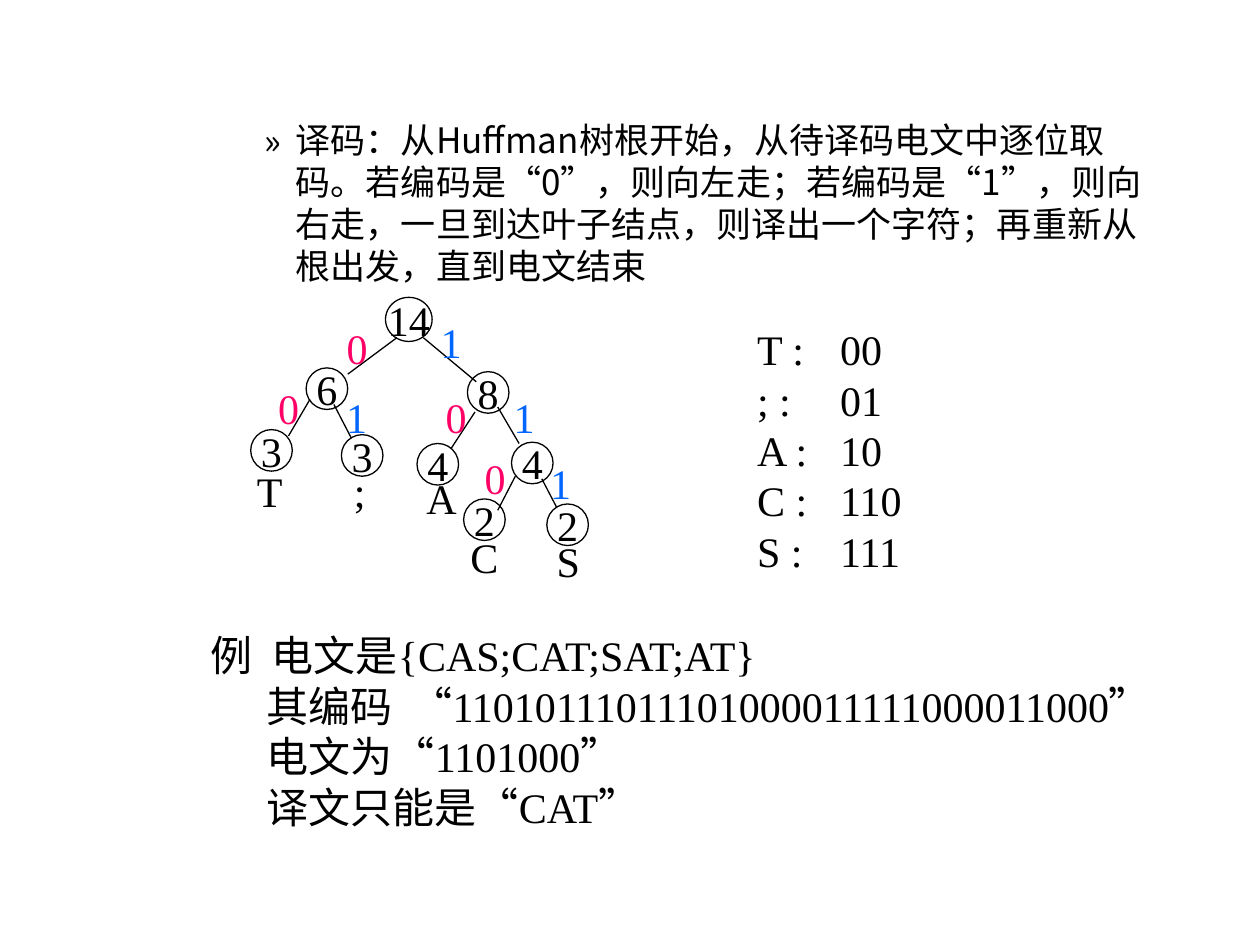
from dataclasses import dataclass
from typing import Sequence

from lxml.etree import SubElement as Sub
from pptx import Presentation
from pptx.dml.color import RGBColor as Rgb
from pptx.enum.shapes import MSO_CONNECTOR as Wire, MSO_SHAPE as Form
from pptx.enum.text import MSO_ANCHOR as Anchor, PP_ALIGN as Align
from pptx.oxml.ns import qn
from pptx.util import Inches, Pt


@dataclass(frozen=True)
class Theme:
    ink: str = "000000"
    zero: str = "FF0066"
    one: str = "0066FF"
    latin: str = "Times New Roman"
    han: str = "Noto Sans CJK SC"
    lead: float = 20
    body: float = 24
    pitch: float = 1.2
    line: float = 0.75


@dataclass(frozen=True)
class Node:
    text: str
    col: float
    row: float
    wide: float = 3.3
    high: float = 3.3


@dataclass(frozen=True)
class Mark:
    text: str
    mid: float
    row: float


@dataclass(frozen=True)
class Edge:
    x1: float
    y1: float
    x2: float
    y2: float
    bit: Mark


@dataclass(frozen=True)
class Line:
    text: str
    left: float = 0
    hang: float = 0
    tabs: Sequence[float] = ()
    mark: str = ""
    level: int = 0


LOOK = Theme()
COLS, ROWS = 100, 75

NODES = [
    Node("14", 30.6, 23.6, 3.7, 3.5),
    Node("6", 24.3, 29.2), Node("8", 37.1, 29.5),
    Node("3", 19.9, 34.1), Node("3", 27.1, 34.5),
    Node("4", 33.1, 35.2), Node("4", 40.6, 35.1),
    Node("2", 36.8, 39.6), Node("2", 43.4, 40),
]
EDGES = [
    Edge(31.5, 26.8, 27.6, 29.7, Mark("0", 28.35, 25.1)),
    Edge(33.6, 26.8, 37.8, 30.3, Mark("1", 35.8, 24.6)),
    Edge(24.6, 31.7, 22.9, 34.6, Mark("0", 22.9, 29.85)),
    Edge(26.5, 32.1, 27.9, 34.8, Mark("1", 28.3, 30.6)),
    Edge(37.7, 32.7, 35.8, 35.6, Mark("0", 36.2, 30.6)),
    Edge(39.5, 32.3, 41.2, 35.2, Mark("1", 41.6, 30.6)),
    Edge(40.9, 37.8, 39.5, 40.5, Mark("0", 39.3, 35.4)),
    Edge(43, 38, 44.2, 40.3, Mark("1", 44.5, 35.8)),
]
LEAVES = [
    Mark("T", 21.4, 36.45), Mark(";", 28.55, 36.45), Mark("A", 34.85, 37),
    Mark("C", 38.35, 41.7), Mark("S", 45.1, 42),
]
CODES = {"T": "00", ";": "01", "A": "10", "C": "110", "S": "111"}
RULE = Line(
    "译码：从Huffman树根开始，从待译码电文中逐位取码。"
    "若编码是“0”，则向左走；若编码是“1”，则向右走，"
    "一旦到达叶子结点，则译出一个字符；再重新从根出发，直到电文结束",
    22.5, -2.5, mark="»", level=4)
CASE = [
    Line("例\t电文是{CAS;CAT;SAT;AT}", tabs=(4.9,)),
    Line("\t其编码\t“11010111011101000011111000011000”", tabs=(4.5, 15.9)),
    Line("电文为“1101000”", 4.5),
    Line("译文只能是“CAT”", 4.5),
]

deck = Presentation()
deck.slide_width, deck.slide_height = Inches(10), Inches(7.5)
page = deck.slides.add_slide(deck.slide_layouts[6])


def gx(col: float) -> int:
    return round(deck.slide_width * col / COLS)


def gy(row: float) -> int:
    return round(deck.slide_height * row / ROWS)


def write(frame, lines: Sequence[Line], size: float, font: str,
          hue: str = LOOK.ink, align=Align.LEFT, wrap: bool = True,
          anchor=Anchor.MIDDLE) -> None:
    frame.word_wrap = wrap
    frame.vertical_anchor = anchor
    for i, line in enumerate(lines):
        para = frame.add_paragraph() if i else frame.paragraphs[0]
        para.alignment = align
        para.level = line.level
        para.line_spacing = Pt(size * LOOK.pitch)
        para.space_before = Pt(0)
        prop = para._p.get_or_add_pPr()
        prop.set("hangingPunct", "0")
        if line.left:
            prop.set("marL", str(gx(line.left)))
        if line.hang:
            prop.set("indent", str(gx(line.hang)))
        if line.mark:
            Sub(prop, qn("a:buFont"), typeface=LOOK.han)
            Sub(prop, qn("a:buChar"), char=line.mark)
        if line.tabs:
            stops = Sub(prop, qn("a:tabLst"))
            for stop in line.tabs:
                Sub(stops, qn("a:tab"), pos=str(gx(stop)), algn="l")
        run = para.add_run()
        run.text = line.text
        run.font.size = Pt(size)
        run.font.name = font
        run.font.color.rgb = Rgb.from_string(hue)
        Sub(run._r.get_or_add_rPr(), qn("a:ea"), typeface=LOOK.han)


def box(col: float, row: float, wide: float, high: float):
    return page.shapes.add_textbox(
        gx(col), gy(row), gx(wide), gy(high)).text_frame


def draw_node(node: Node) -> None:
    disc = page.shapes.add_shape(
        Form.OVAL, gx(node.col), gy(node.row), gx(node.wide), gy(node.high))
    disc.shadow.inherit = False
    disc.fill.background()
    disc.line.color.rgb = Rgb.from_string(LOOK.ink)
    disc.line.width = Pt(LOOK.line)
    write(disc.text_frame, [Line(node.text)], LOOK.body, LOOK.latin,
          align=Align.CENTER, wrap=False)


def draw_mark(mark: Mark, hue: str = LOOK.ink) -> None:
    wide = 4
    write(box(mark.mid - wide / 2, mark.row, wide, 5), [Line(mark.text)],
          LOOK.body, LOOK.latin, hue, Align.CENTER, False)


def draw_edge(edge: Edge) -> None:
    wire = page.shapes.add_connector(
        Wire.STRAIGHT, gx(edge.x1), gy(edge.y1), gx(edge.x2), gy(edge.y2))
    wire.line.color.rgb = Rgb.from_string(LOOK.ink)
    wire.line.width = Pt(LOOK.line)
    Sub(wire._element.spPr, qn("a:effectLst"))
    draw_mark(edge.bit, LOOK.zero if edge.bit.text == "0" else LOOK.one)


write(box(0, 8.9, 93, 14.4), [RULE], LOOK.lead, LOOK.han, anchor=Anchor.TOP)
write(box(15.7, 49.5, 79.6, 17), CASE, LOOK.body, LOOK.latin)
for node in NODES:
    draw_node(node)
for edge in EDGES:
    draw_edge(edge)
for leaf in LEAVES:
    draw_mark(leaf)
table = [Line(f"{sign} :\t{code}", tabs=(6.6,))
         for sign, code in CODES.items()]
write(box(59.1, 25.2, 13.5, 21), table, LOOK.body, LOOK.latin)

deck.save("out.pptx")
